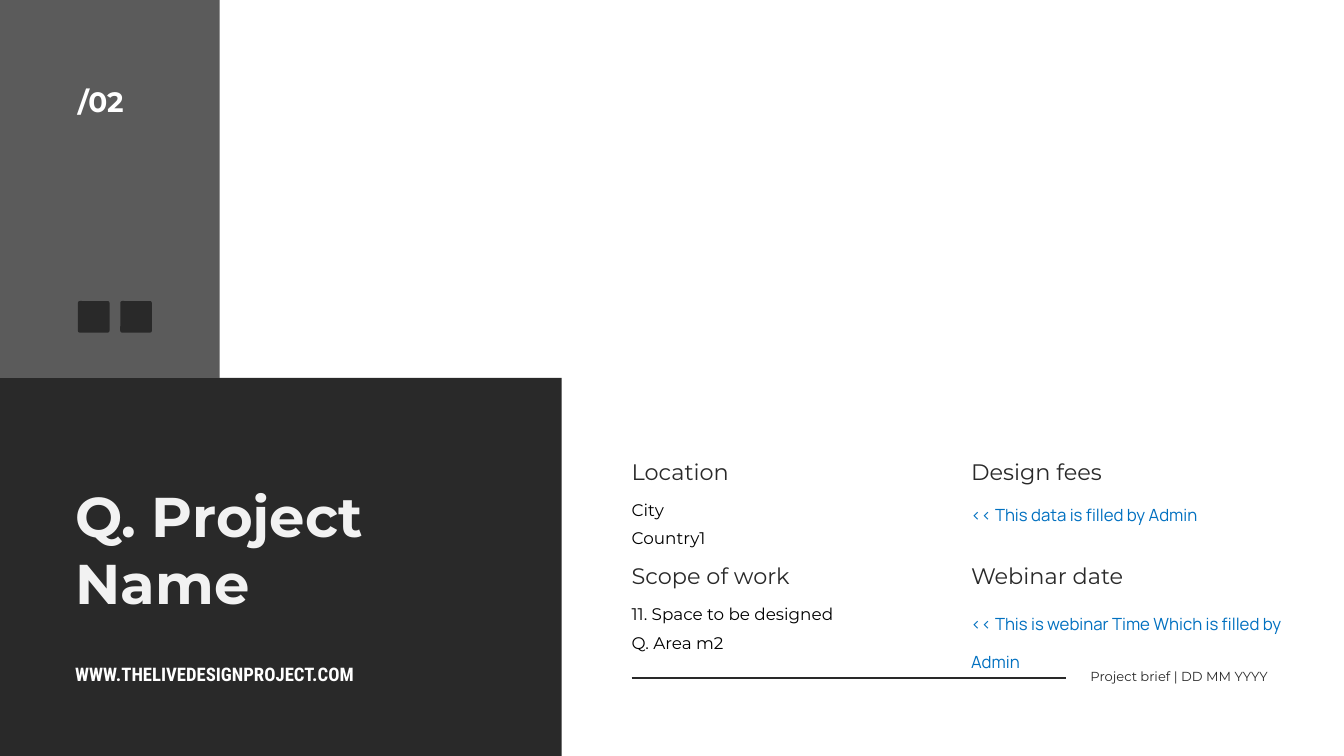
"""Build the project brief slide with its location, scope, fee and date details."""
from lxml.etree import SubElement
from pptx import Presentation
from pptx.dml.color import RGBColor
from pptx.enum.shapes import MSO_CONNECTOR, MSO_SHAPE
from pptx.enum.text import MSO_ANCHOR, MSO_AUTO_SIZE, PP_ALIGN
from pptx.oxml.ns import qn
from pptx.util import Inches, Pt

WIDTH, HEIGHT = 20, 11.25
DARK = RGBColor(0x29, 0x29, 0x29)
GRAY = RGBColor(0x5B, 0x5B, 0x5B)
WHITE = RGBColor(0xFF, 0xFF, 0xFF)
PALE = RGBColor(0xF2, 0xF2, 0xF2)
BLACK = RGBColor(0, 0, 0)
BLUE = RGBColor(0, 0x70, 0xC0)

TITLE = "Q. Project Name"
PAGE_NUMBER = "/02"
WEBSITE = "WWW.THELIVEDESIGNPROJECT.COM"
FOOTER = "Project brief | DD MM YYYY"
DETAILS = [
    [("Location", ["City", "Country1"], 1.4),
     ("Scope of work", ["11. Space to be designed", "Q. Area m2"], Pt(30.2))],
    [("Design fees", ["<< This data is filled by Admin"], 1.87),
     ("Webinar date", ["<< This is webinar Time Which is filled by Admin"], 1.87)],
]

MARGIN = 1.12
MARK_LEFT, MARK_TOP, MARK_SIZE, MARK_STEP = 1.16, 4.48, 0.47, 0.63
COLUMNS = [9.4, 14.45]
ROWS = [6.65, 8.2]
BODY_DROPS = [[0.67, 0.67], [0.6, 0.67]]
BODY_STYLES = [("Montserrat", BLACK), ("Manrope", BLUE)]
RULE_TOP, RULE_RIGHT = 10.09, 15.86


def place(shape, left, top, width, height):
    shape.left, shape.top = Inches(left), Inches(top)
    shape.width, shape.height = Inches(width), Inches(height)


def write(shape, lines, size, color, font="Montserrat", bold=False,
          spacing=1.0, align=PP_ALIGN.LEFT):
    frame = shape.text_frame
    frame.word_wrap = True
    frame.auto_size = MSO_AUTO_SIZE.NONE
    frame.vertical_anchor = MSO_ANCHOR.TOP
    frame.margin_left = frame.margin_right = 0
    frame.margin_top = frame.margin_bottom = 0
    for index, line in enumerate(lines):
        para = frame.add_paragraph() if index else frame.paragraphs[0]
        para.alignment = align
        para.line_spacing = spacing
        para.space_before = Pt(0)
        span = para.add_run()
        span.text = line
        span.font.name = font
        span.font.size = Pt(size)
        span.font.bold = bold
        span.font.color.rgb = color


def add_text(page, area, lines, size, color, **style):
    box = page.shapes.add_textbox(0, 0, 0, 0)
    place(box, *area)
    write(box, lines, size, color, **style)


def add_block(page, area, color, kind=MSO_SHAPE.RECTANGLE):
    block = page.shapes.add_shape(kind, 0, 0, 0, 0)
    place(block, *area)
    block.shadow.inherit = False
    block.fill.solid()
    block.fill.fore_color.rgb = color
    block.line.fill.background()
    return block


def add_rule(page):
    rule = page.shapes.add_connector(
        MSO_CONNECTOR.STRAIGHT, Inches(COLUMNS[0]), Inches(RULE_TOP),
        Inches(RULE_RIGHT), Inches(RULE_TOP))
    rule.line.color.rgb = DARK
    rule.line.width = Pt(2.25)
    SubElement(rule.element.spPr, qn("a:effectLst"))


def add_details(page):
    for column, left in enumerate(COLUMNS):
        font, color = BODY_STYLES[column]
        for row, top in enumerate(ROWS):
            heading, lines, spacing = DETAILS[column][row]
            add_text(page, (left, top, 3.68, 0.42), [heading], 24, DARK, spacing=1.4)
            add_text(page, (left, top + BODY_DROPS[column][row], 4.86, 0.85),
                     lines, 18, color, font=font, spacing=spacing)


def main():
    deck = Presentation()
    deck.slide_width, deck.slide_height = Inches(WIDTH), Inches(HEIGHT)
    page = deck.slides.add_slide(deck.slide_layouts[5])
    page.background.fill.solid()
    page.background.fill.fore_color.rgb = WHITE

    title = page.shapes.title
    tree = title.element.getparent()
    add_block(page, (0, HEIGHT / 2, 8.36, HEIGHT / 2), DARK)
    add_block(page, (0, 0, 3.27, HEIGHT / 2), GRAY)
    add_text(page, (MARK_LEFT, 1.06, 1.16, 0.71), [PAGE_NUMBER], 30, WHITE,
             bold=True, spacing=1.4, align=PP_ALIGN.JUSTIFY)
    for index in range(2):
        mark = add_block(
            page, (MARK_LEFT + index * MARK_STEP, MARK_TOP, MARK_SIZE, MARK_SIZE),
            DARK, MSO_SHAPE.ROUNDED_RECTANGLE)
        mark.adjustments[0] = 0.06

    tree.append(title.element)
    place(title, MARGIN, 7.16, 6.63, 2.02)
    write(title, [TITLE], 60, PALE, bold=True)
    add_text(page, (MARGIN, 9.79, 5.57, 0.33), [WEBSITE], 20, WHITE,
             font="Roboto Condensed", bold=True, spacing=1.2)
    add_details(page)
    add_rule(page)
    add_text(page, (15.46, 9.86, 3.41, 0.26), [FOOTER], 14, DARK,
             spacing=1.4, align=PP_ALIGN.RIGHT)
    deck.save("out.pptx")


if __name__ == "__main__":
    main()
